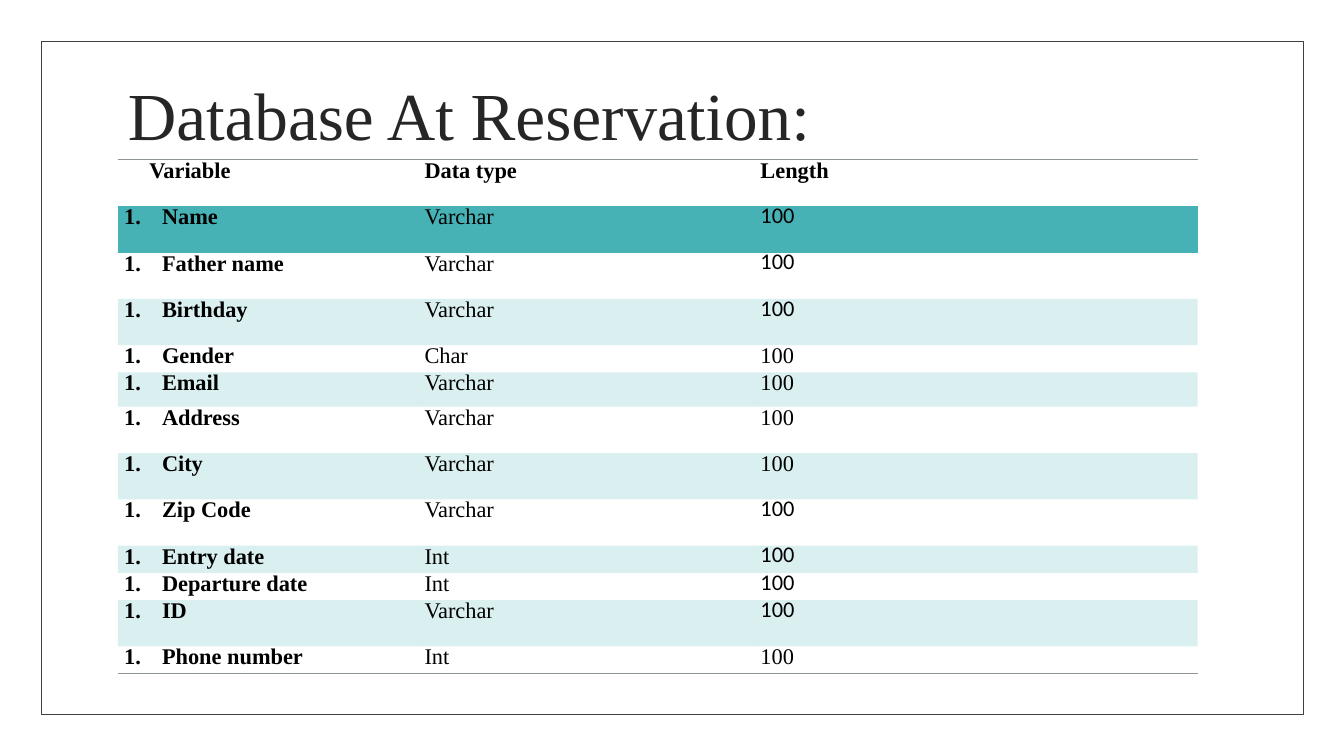
import pptx
import pptx.util
import pptx.dml.color
import pptx.enum.shapes
import pptx.enum.text
import pptx.oxml.ns
import lxml.etree

Pt = pptx.util.Pt

TITLE = "Database At Reservation:"
HEAD = ("Variable", "Data type", "Length")
SERIF, SANS = "Times New Roman", "Calibri"
TALL, MID, LOW = 33.1, 24.5, 19.5
FIELDS = [
    ("Name", "Varchar", "100", SANS, TALL),
    ("Father name", "Varchar", "100", SANS, TALL),
    ("Birthday", "Varchar", "100", SANS, TALL),
    ("Gender", "Char", "100", SERIF, LOW),
    ("Email", "Varchar", "100", SERIF, MID),
    ("Address", "Varchar", "100", SERIF, TALL),
    ("City", "Varchar", "100", SERIF, TALL),
    ("Zip Code", "Varchar", "100", SANS, TALL),
    ("Entry date", "Int", "100", SANS, LOW),
    ("Departure date", "Int", "100", SANS, LOW),
    ("ID", "Varchar", "100", SANS, TALL),
    ("Phone number", "Int", "100", SERIF, LOW),
]
THEME = {
    "frame": "404040", "title": "262626", "text": "000000",
    "teal": "46B2B5", "rule": "8C9494", "tint": 20000,
    "title_size": 48, "cell_size": 16,
}
SIZE = (960, 540)
FRAME = (29.5, 29.5, 901.5, 481)
BOX = (84.25, 31, 792, 108)
GRID = (84.25, 114.2)
WIDTHS = (214.5, 240, 316.8)
PLAIN = "{2D5ABB26-0587-4C30-8999-92F81FD0307C}"


def tone(name):
    return pptx.dml.color.RGBColor.from_string(THEME[name])


def node(parent, tag, **attrs):
    return lxml.etree.SubElement(parent, pptx.oxml.ns.qn(tag), **attrs)


def write(para, text, font, size, shade, bold=False):
    run = para.add_run()
    run.text = text
    run.font.name = font
    run.font.size = Pt(THEME[size])
    run.font.bold = bold
    run.font.color.rgb = tone(shade)


def edge(cell, tag, shade, width):
    props = cell._tc.get_or_add_tcPr()
    line = node(props, tag, w=str(Pt(width)))
    node(node(line, "a:solidFill"), "a:srgbClr", val=THEME[shade])


def tint(cell):
    cell.fill.solid()
    cell.fill.fore_color.rgb = tone("teal")
    color = cell._tc.tcPr.find(".//" + pptx.oxml.ns.qn("a:srgbClr"))
    node(color, "a:alpha", val=str(THEME["tint"]))


def fill_cell(cell, text, font, bold, left, hang):
    cell.margin_left = cell.margin_right = Pt(4.5)
    cell.margin_top = cell.margin_bottom = Pt(0)
    para = cell.text_frame.paragraphs[0]
    para.line_spacing = Pt(16.7)
    para.space_before = para.space_after = Pt(5.2)
    props = para._p.get_or_add_pPr()
    props.set("marL", str(Pt(left)))
    props.set("indent", str(Pt(-hang)))
    if hang:
        node(props, "a:buFont", typeface="+mj-lt")
        node(props, "a:buAutoNum", type="arabicPeriod")
    write(para, text, font, "cell_size", "text", bold)


def add_frame(slide):
    frame = slide.shapes.add_shape(
        pptx.enum.shapes.MSO_SHAPE.RECTANGLE, *map(Pt, FRAME))
    frame.shadow.inherit = False
    frame.fill.background()
    frame.line.color.rgb = tone("frame")
    frame.line.width = Pt(0.5)


def add_title(slide):
    body = slide.shapes.add_textbox(*map(Pt, BOX)).text_frame
    body.word_wrap = True
    body.vertical_anchor = pptx.enum.text.MSO_ANCHOR.MIDDLE
    para = body.paragraphs[0]
    para.line_spacing = 0.9
    write(para, TITLE, SERIF, "title_size", "title")


def add_grid(slide):
    rows = [(*HEAD, SERIF, TALL)] + FIELDS
    last = len(rows) - 1
    high = sum(row[-1] for row in rows)
    shape = slide.shapes.add_table(
        len(rows), len(WIDTHS), *map(Pt, GRID), Pt(sum(WIDTHS)), Pt(high))
    table = shape.table
    table._tbl.tblPr.find(pptx.oxml.ns.qn("a:tableStyleId")).text = PLAIN
    for col, width in zip(table.columns, WIDTHS):
        col.width = Pt(width)
    for i, (*texts, font, tall) in enumerate(rows):
        table.rows[i].height = Pt(tall)
        for j, text in enumerate(texts):
            cell = table.cell(i, j)
            left = (18 if i == 0 else 27) if j == 0 else 0
            hang = 27 if i and j == 0 else 0
            face = font if j == 2 else SERIF
            fill_cell(cell, text, face, i == 0 or j == 0, left, hang)
            if i == 0:
                edge(cell, "a:lnT", "rule", 0.75)
                edge(cell, "a:lnB", "teal", 1)
            if i == 1:
                edge(cell, "a:lnT", "teal", 1)
            if i == last:
                edge(cell, "a:lnB", "rule", 0.75)
            if i % 2:
                tint(cell)
            else:
                cell.fill.background()


def main():
    deck = pptx.Presentation()
    deck.slide_width, deck.slide_height = map(Pt, SIZE)
    slide = deck.slides.add_slide(deck.slide_layouts[6])
    add_frame(slide)
    add_title(slide)
    add_grid(slide)
    deck.save("out.pptx")


if __name__ == "__main__":
    main()
